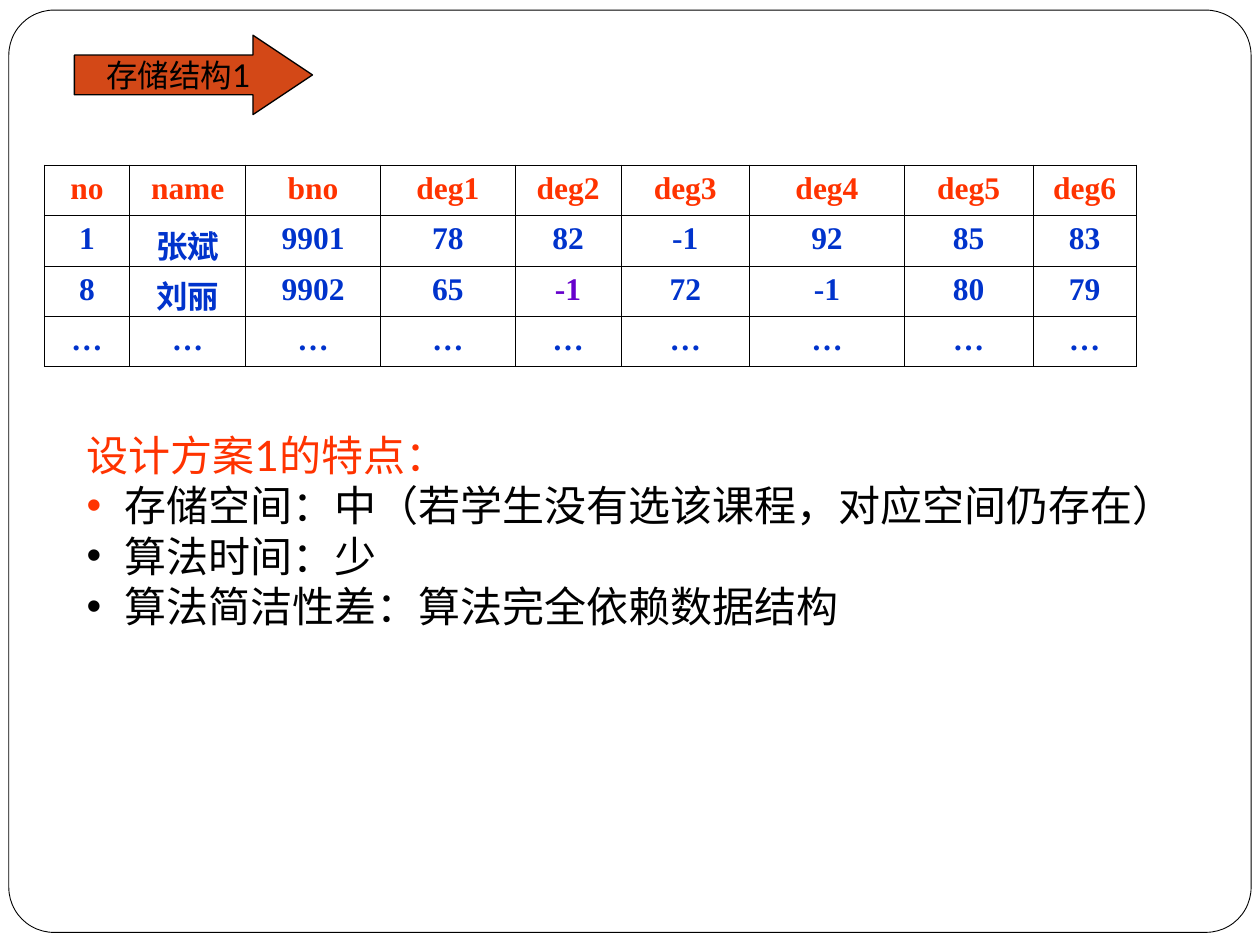
from pptx import Presentation
from pptx.dml.color import RGBColor
from pptx.enum.shapes import MSO_SHAPE
from pptx.enum.text import MSO_ANCHOR, PP_ALIGN
from pptx.oxml.ns import qn
from pptx.util import Inches, Pt
from lxml.etree import SubElement

RED, BLUE, PURPLE, BLACK, WHITE = "FF3300", "0033CC", "6600CC", "000000", "FFFFFF"


def color(code):
    return RGBColor.from_string(code)


class Page:
    sans, serif, symbol = "Lato", "Times New Roman", "DejaVu Sans"

    def __init__(self, slide):
        self.slide = slide

    def run(self, para, text, size, code, font=sans, bold=False):
        run = para.add_run()
        run.text = text
        run.font.size, run.font.name, run.font.bold = Pt(size), font, bold
        run.font.color.rgb = color(code)

    def shape(self, kind, box, adjust, fill, width):
        shape = self.slide.shapes.add_shape(kind, *map(Inches, box))
        for i, value in enumerate(adjust):
            shape.adjustments[i] = value
        shape.shadow.inherit = False
        shape.fill.solid()
        shape.fill.fore_color.rgb = color(fill)
        shape.line.color.rgb = color(BLACK)
        shape.line.width = Pt(width)
        return shape

    def label(self, shape, text, size):
        frame = shape.text_frame
        frame.word_wrap = False
        frame.vertical_anchor = MSO_ANCHOR.MIDDLE
        para = frame.paragraphs[0]
        para.alignment = PP_ALIGN.CENTER
        self.run(para, text, size, BLACK)

    def bullet(self, para, code):
        props = para._p.get_or_add_pPr()
        props.set("marL", str(Inches(0.3)))
        props.set("indent", str(-Inches(0.3)))
        tint = SubElement(props, qn("a:buClr"))
        SubElement(tint, qn("a:srgbClr"), val=code)
        SubElement(props, qn("a:buFont"), typeface="Arial")
        SubElement(props, qn("a:buChar"), char="•")

    def notes(self, box, title, items, size):
        frame = self.slide.shapes.add_textbox(*map(Inches, box)).text_frame
        frame.word_wrap = True
        for text, font in title:
            self.run(frame.paragraphs[0], text, size, RED, font)
        for text, code in items:
            para = frame.add_paragraph()
            self.bullet(para, code)
            self.run(para, text, size, BLACK)

    def border(self, cell, width):
        props = cell._tc.get_or_add_tcPr()
        for i, side in enumerate(("lnL", "lnR", "lnT", "lnB")):
            line = props.makeelement(qn("a:" + side), {"w": str(Pt(width))})
            fill = SubElement(line, qn("a:solidFill"))
            SubElement(fill, qn("a:srgbClr"), val=BLACK)
            props.insert(i, line)

    def table(self, left, top, widths, height, rows, tints):
        table = self.slide.shapes.add_table(
            len(rows), len(widths), Inches(left), Inches(top),
            Inches(sum(widths)), Inches(height * len(rows))).table
        table.first_row = table.horz_banding = False
        for col, width in zip(table.columns, widths):
            col.width = Inches(width)
        for r, row in enumerate(rows):
            table.rows[r].height = Inches(height)
            for c, text in enumerate(row):
                cell = table.cell(r, c)
                cell.fill.background()
                self.border(cell, 0.45)
                para = cell.text_frame.paragraphs[0]
                para.alignment = PP_ALIGN.CENTER
                code = tints.get((r, c), BLUE if r else RED)
                self.run(para, text, 18, code, self.serif, True)


def main():
    deck = Presentation()
    deck.slide_width, deck.slide_height = Inches(10), Inches(7.5)
    page = Page(deck.slides.add_slide(deck.slide_layouts[6]))

    # Rounded frame
    page.shape(MSO_SHAPE.ROUNDED_RECTANGLE, (0.07, 0.08, 9.86, 7.32),
               [0.049], WHITE, 0.5)

    # Features of the design
    page.notes((0.59, 3.36, 8.9, 1.7),
               [("设计方案1的", page.sans), ("特点：", page.symbol)],
               [("存储空间：中（若学生没有选该课程，对应空间仍存在）", RED),
                ("算法时间：少", BLACK),
                ("算法简洁性差：算法完全依赖数据结构", BLACK)], 24)

    # Heading arrow
    arrow = page.shape(MSO_SHAPE.RIGHT_ARROW, (0.59, 0.28, 1.89, 0.63),
                       [0.5, 0.75], "D34817", 0.75)
    page.label(arrow, "存储结构1", 18)

    # Student records
    widths = [0.68, 0.92, 1.07, 1.07, 0.84, 1.02, 1.23, 1.02, 0.82]
    rows = [
        ["no", "name", "bno"] + [f"deg{i}" for i in range(1, 7)],
        ["1", "张斌", "9901", "78", "82", "-1", "92", "85", "83"],
        ["8", "刘丽", "9902", "65", "-1", "72", "-1", "80", "79"],
        ["…"] * len(widths),
    ]
    page.table(0.35, 1.31, widths, 0.4, rows, {(2, 4): PURPLE})

    deck.save("out.pptx")


if __name__ == "__main__":
    main()
